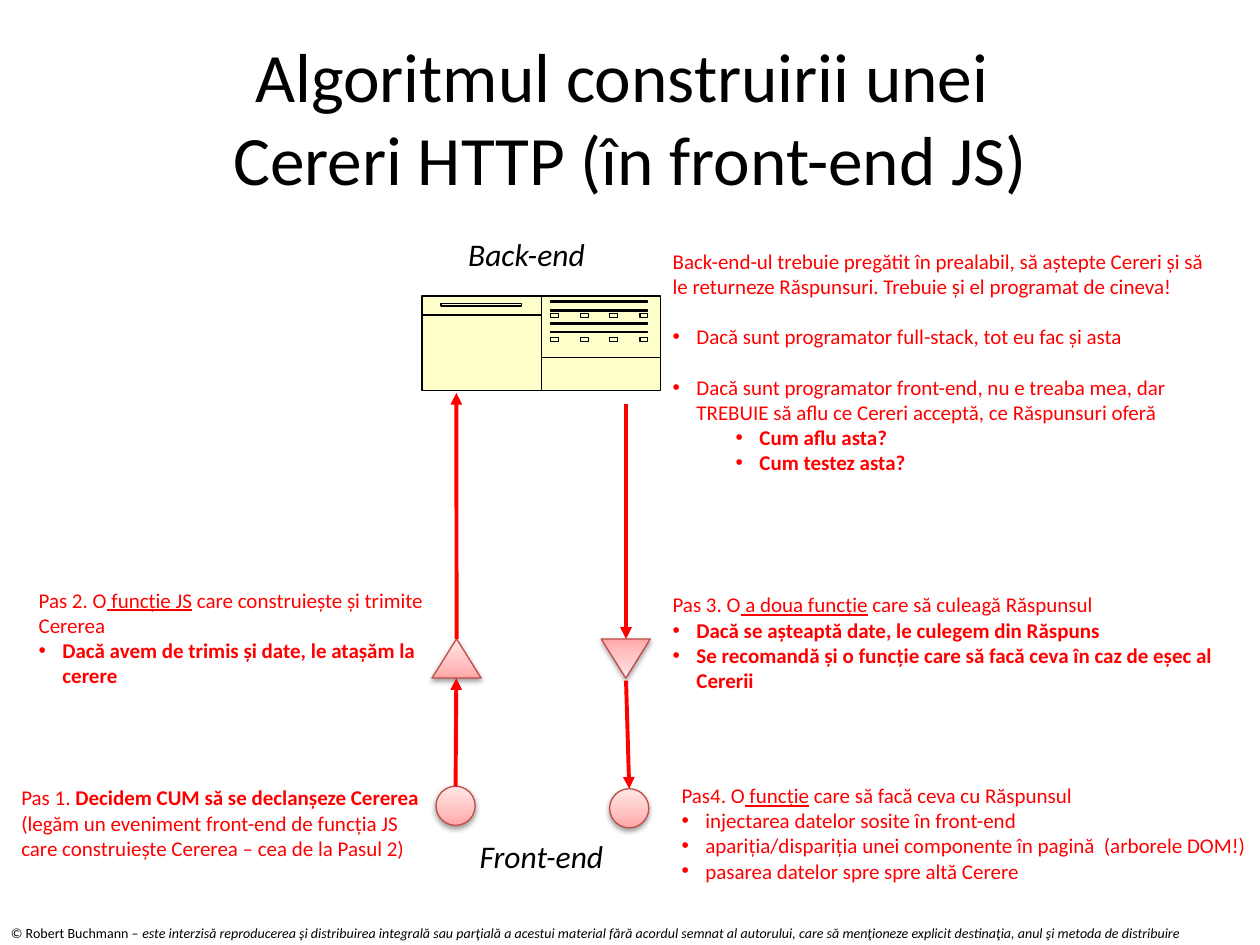
from lxml import etree
from pptx import Presentation
from pptx.dml.color import RGBColor
from pptx.enum.shapes import MSO_CONNECTOR, MSO_SHAPE
from pptx.enum.text import MSO_ANCHOR, MSO_AUTO_SIZE, PP_ALIGN
from pptx.oxml import parse_xml
from pptx.oxml.ns import nsdecls, qn
from pptx.util import Cm, Pt

STRAIGHT = MSO_CONNECTOR.STRAIGHT
TRIANGLE, OVAL = MSO_SHAPE.ISOSCELES_TRIANGLE, MSO_SHAPE.OVAL
MIDDLE, CENTER = MSO_ANCHOR.MIDDLE, PP_ALIGN.CENTER
FIT_TEXT = MSO_AUTO_SIZE.SHAPE_TO_FIT_TEXT
RED, BLACK, CREAM, BRICK = "FF0000", "000000", "FFFFCC", "BF4C48"
PINK_STOPS = [(0, "FFA6A5"), (35, "FFC0BF"), (100, "FFE7E7")]
BULLET_INDENTS = {1: 0.48, 2: 1.75}
HANGING = 0.48
PARAGRAPH_GAP = 14.4

TITLE = ["Algoritmul construirii unei ", "Cereri HTTP (în front-end JS)"]

# box, size, colour, paragraphs of (bullet level, gap before, runs of (text, style))
TEXTS = [
    ((-0.03, 18.52, 25.43, 0.61), 8, BLACK, [
        (0, False, [("© Robert Buchmann – ", ""),
                    ("este interzisă reproducerea şi distribuirea integrală sau parţială a acestui "
                     "material fără acordul semnat al autorului, care să menţioneze explicit "
                     "destinaţia, anul şi metoda de distribuire", "i")])]),
    ((0.53, 11.71, 8.36, 2.31), 12, RED, [
        (0, False, [("Pas 2. O", ""), (" funcție JS", "u"),
                    (" care construiește și trimite Cererea", "")]),
        (1, False, [("Dacă avem de trimis și date, le atașăm la cerere", "b")])]),
    ((13.31, 11.81, 12.04, 2.31), 12, RED, [
        (0, False, [("Pas 3. O", ""), (" a doua funcție", "u"),
                    (" care să culeagă Răspunsul", "")]),
        (1, False, [("Dacă se așteaptă date, le culegem din Răspuns", "b")]),
        (1, False, [("Se recomandă și o funcție care să facă ceva în caz de eșec al Cererii", "b")])]),
    ((0.18, 15.7, 8.61, 1.8), 12, RED, [
        (0, False, [("Pas 1. ", ""), ("Decidem CUM să se declanșeze Cererea", "b"),
                    (" (legăm un eveniment front-end de funcția JS care construiește Cererea"
                     " – cea de la Pasul 2)", "")])]),
    ((13.49, 15.65, 12.04, 2.31), 12, RED, [
        (0, False, [("Pas4. O", ""), (" funcție", "u"), (" care să facă ceva cu Răspunsul", "")]),
        (1, False, [("injectarea datelor sosite în front-end", "")]),
        (1, False, [("apariția/dispariția unei componente în pagină  (arborele DOM!)", "")]),
        (1, False, [("pasarea datelor spre spre altă Cerere", "")])]),
    ((9.42, 16.74, 3.73, 1.02), 18, BLACK, [(0, False, [("Front-end", "i")])]),
    ((9.19, 4.62, 3.73, 1.02), 18, BLACK, [(0, False, [("Back-end", "i")])]),
    ((13.31, 4.88, 11.58, 4.88), 12, RED, [
        (0, False, [("Back-end-ul trebuie pregătit în prealabil, să aștepte Cereri și să le "
                     "returneze Răspunsuri. Trebuie și el programat de cineva!", "")]),
        (1, True, [("Dacă sunt programator full-stack, tot eu fac și asta", "")]),
        (1, True, [("Dacă sunt programator front-end, nu e treaba mea, dar TREBUIE să aflu "
                    "ce Cereri acceptă, ce Răspunsuri oferă", "")]),
        (2, False, [("Cum aflu asta?", "b")]),
        (2, False, [("Cum testez asta?", "b")])]),
]

MARKERS = {
    "build": (TRIANGLE, 8.71, 12.88, 0.99, 0.79, 0),
    "collect": (TRIANGLE, 12.12, 12.88, 0.99, 0.79, 180),
    "trigger": (OVAL, 8.79, 15.85, 0.79, 0.79, 0),
    "use": (OVAL, 12.29, 15.9, 0.79, 0.79, 0),
}

# start, end, marker joined at its top by the start, by the end
ARROWS = [
    ((9.2, 12.88), (9.2, 7.92), "build", None),
    ((12.62, 8.15), (12.62, 12.88), None, None),
    ((9.2, 15.85), (9.2, 13.67), "trigger", None),
    ((12.62, 13.72), (12.7, 15.9), None, "use"),
]

# server outline in hundredths of a centimetre
LEFT, TOP, RIGHT, BOTTOM, MID = 851, 597, 1331, 787, 1092
SHELF, PANEL_END = 635, 721
SLOT = (889, 612, 1052, 617)
BAR_LEFT, BAR_RIGHT, BAR_HEIGHT = 1110, 1306, 3
BAR_TOPS = [607, 625, 650, 668]
LAMP_LEFTS, LAMP_TOPS = [1110, 1171, 1229, 1290], [632, 681]
LAMP_WIDTH, LAMP_HEIGHT = 16, 8


def color(value):
    return RGBColor.from_string(value)


def add_run(paragraph, text, size, value, style=""):
    run = paragraph.add_run()
    run.text = text
    font = run.font
    font.name, font.size = "Calibri", Pt(size)
    font.color.rgb = color(value)
    font.bold, font.italic, font.underline = "b" in style, "i" in style, "u" in style


def add_box(slide, box):
    frame = slide.shapes.add_textbox(*map(Cm, box)).text_frame
    frame.word_wrap = True
    return frame


def set_bullet(paragraph, level):
    paragraph.level = level - 1
    properties = paragraph._p.get_or_add_pPr()
    properties.set("marL", str(Cm(BULLET_INDENTS[level])))
    properties.set("indent", str(-Cm(HANGING)))
    etree.SubElement(properties, qn("a:buFont")).set("typeface", "Arial")
    etree.SubElement(properties, qn("a:buChar")).set("char", "•")


def add_text(slide, box, size, value, paragraphs):
    frame = add_box(slide, box)
    frame.auto_size = FIT_TEXT
    for index, (level, gap, runs) in enumerate(paragraphs):
        paragraph = frame.add_paragraph() if index else frame.paragraphs[0]
        if level:
            set_bullet(paragraph, level)
        if gap:
            paragraph.space_before = Pt(PARAGRAPH_GAP)
        for text, style in runs:
            add_run(paragraph, text, size, value, style)


def add_title(slide):
    frame = add_box(slide, (1.27, 0.76, 22.86, 3.18))
    frame.vertical_anchor = MIDDLE
    paragraph = frame.paragraphs[0]
    paragraph.alignment = CENTER
    for index, line in enumerate(TITLE):
        if index:
            paragraph.add_line_break()
        add_run(paragraph, line, 39.6, BLACK)


def rectangle(left, top, right, bottom):
    return [(left, top), (right, top), (right, bottom), (left, bottom)], True


def add_server(slide):
    contours = [rectangle(LEFT, TOP, RIGHT, BOTTOM), rectangle(*SLOT),
                ([(LEFT, SHELF), (MID, SHELF)], False),
                ([(MID, PANEL_END), (RIGHT, PANEL_END)], False),
                ([(MID, TOP), (MID, BOTTOM)], False)]
    contours += [rectangle(BAR_LEFT, top, BAR_RIGHT, top + BAR_HEIGHT) for top in BAR_TOPS]
    contours += [rectangle(left, top, left + LAMP_WIDTH, top + LAMP_HEIGHT)
                 for top in LAMP_TOPS for left in LAMP_LEFTS]
    builder = slide.shapes.build_freeform(LEFT, TOP, scale=Cm(0.01))
    for index, (points, closed) in enumerate(contours):
        if index:
            builder.move_to(*points[0])
        builder.add_line_segments(points[1:], close=closed)
    shape = builder.convert_to_shape()
    shape.shadow.inherit = False
    shape.fill.solid()
    shape.fill.fore_color.rgb = color(CREAM)
    shape.line.color.rgb = color(BLACK)
    shape.line.width = Pt(0.75)
    outline = shape._element.spPr.find(".//" + qn("a:path"))
    details = etree.SubElement(outline.getparent(), qn("a:path"), dict(outline.attrib), fill="none")
    details.extend(list(outline)[5:])


def add_marker(slide, kind, left, top, width, height, rotation):
    shape = slide.shapes.add_shape(kind, *map(Cm, (left, top, width, height)))
    shape.rotation = rotation
    shape.line.color.rgb = color(BRICK)
    shape.line.width = Pt(0.75)
    stops = "".join(f'<a:gs pos="{position * 1000}"><a:srgbClr val="{value}"/></a:gs>'
                    for position, value in PINK_STOPS)
    line = shape._element.spPr.find(qn("a:ln"))
    line.addprevious(parse_xml(
        f'<a:gradFill {nsdecls("a")} rotWithShape="1"><a:gsLst>{stops}</a:gsLst>'
        '<a:lin ang="16200000" scaled="0"/></a:gradFill>'))
    line.addnext(parse_xml(
        f'<a:effectLst {nsdecls("a")}><a:outerShdw blurRad="{Pt(3.1)}" dist="{Pt(1.6)}" '
        f'dir="5400000" rotWithShape="0"><a:srgbClr val="{BLACK}"><a:alpha val="38000"/>'
        '</a:srgbClr></a:outerShdw></a:effectLst>'))
    return shape


def add_arrow(slide, start, end, begin_marker, end_marker):
    arrow = slide.shapes.add_connector(STRAIGHT, *map(Cm, start + end))
    if begin_marker:
        arrow.begin_connect(begin_marker, 0)
    if end_marker:
        arrow.end_connect(end_marker, 0)
    arrow.line.color.rgb = color(RED)
    arrow.line.width = Pt(2.25)
    etree.SubElement(arrow.line._get_or_add_ln(), qn("a:tailEnd")).set("type", "triangle")
    etree.SubElement(arrow._element.spPr, qn("a:effectLst"))


def main():
    presentation = Presentation()
    presentation.slide_width, presentation.slide_height = Cm(25.4), Cm(19.05)
    slide = presentation.slides.add_slide(presentation.slide_layouts[6])
    add_title(slide)
    add_server(slide)
    markers = {name: add_marker(slide, *marker) for name, marker in MARKERS.items()}
    for start, end, begin_name, end_name in ARROWS:
        add_arrow(slide, start, end, markers.get(begin_name), markers.get(end_name))
    for text in TEXTS:
        add_text(slide, *text)
    presentation.save("out.pptx")


if __name__ == "__main__":
    main()
